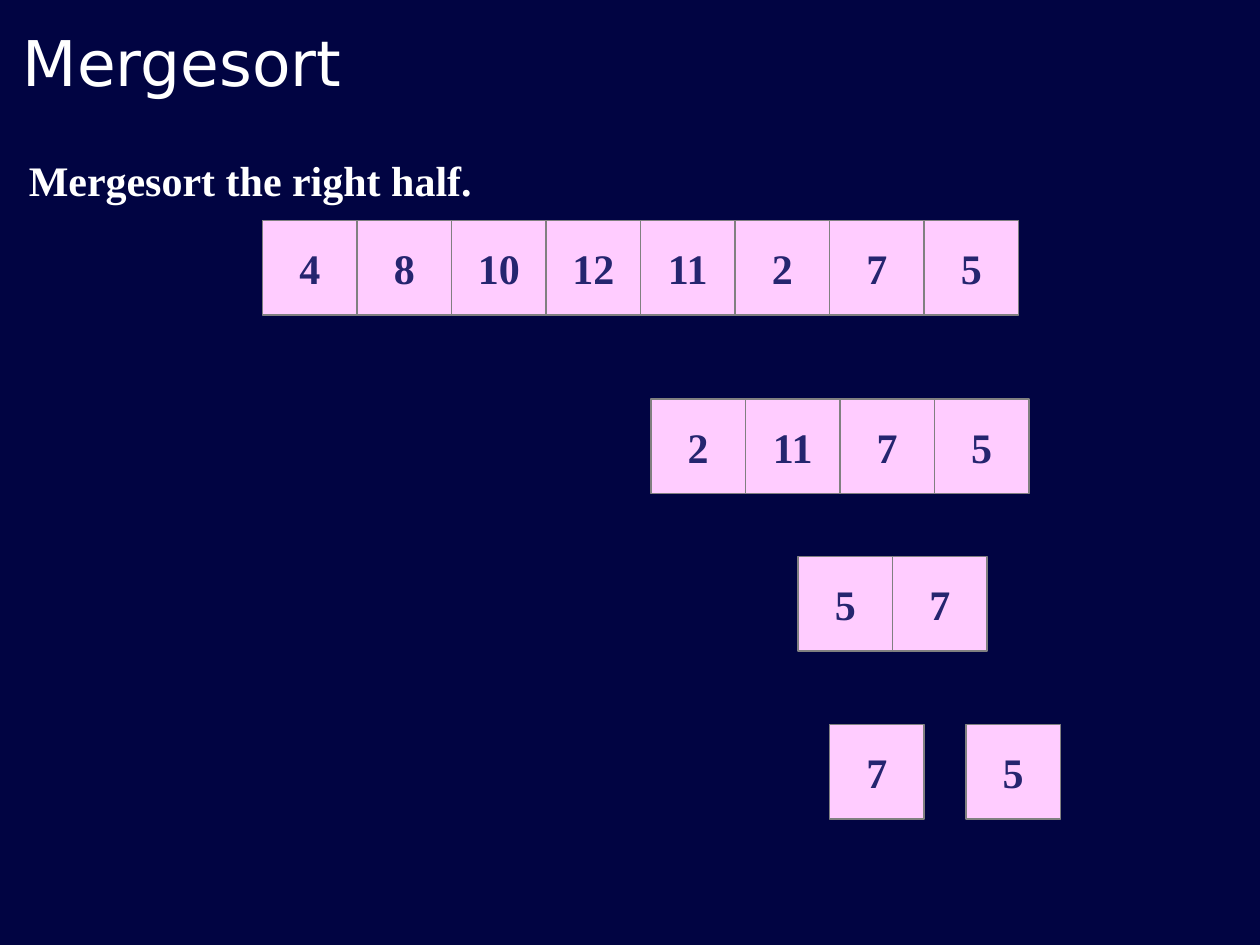
from pptx import Presentation
from pptx.dml.color import RGBColor
from pptx.enum.shapes import MSO_SHAPE as Shape
from pptx.enum.text import MSO_ANCHOR as Anchor, MSO_AUTO_SIZE as Fit
from pptx.enum.text import PP_ALIGN as Align
from pptx.util import Emu, Pt

SCALE = 7620  # EMU per px, 120 px to the inch
CELL = 90
COLORS = {"back": "010442", "cell": "FFCCFF", "edge": "808080",
          "digit": "25256F", "text": "FFFFFF"}
SANS, SERIF = "DejaVu Sans", "Times New Roman"

TITLE = "Mergesort"
CAPTION = "Mergesort the right half."
# left, top, values
ARRAYS = [
    (250, 210, [4, 8, 10, 12, 11, 2, 7, 5]),
    (620, 380, [2, 11, 7, 5]),
    (760, 530, [5, 7]),
    (790, 690, [7]),
    (920, 690, [5]),
]


def px(*sizes):
    return [Emu(size * SCALE) for size in sizes]


def color(name):
    return RGBColor.from_string(COLORS[name])


def write(shape, text, size, face, tint, bold=False, align=Align.CENTER,
          anchor=Anchor.MIDDLE, wrap=False):
    frame = shape.text_frame
    frame.word_wrap = wrap
    frame.vertical_anchor = anchor
    para = frame.paragraphs[0]
    para.text = text
    para.alignment = align
    font = para.font
    font.name, font.size, font.bold = face, Pt(size), bold
    font.color.rgb = color(tint)


def add_cell(slide, left, top, value):
    cell = slide.shapes.add_shape(Shape.RECTANGLE, *px(left, top, CELL, CELL))
    cell.shadow.inherit = False
    cell.fill.solid()
    cell.fill.fore_color.rgb = color("cell")
    cell.line.color.rgb = color("edge")
    cell.line.width = Pt(0.75)
    write(cell, str(value), 24, SERIF, "digit", bold=True)


def main():
    deck = Presentation()
    deck.slide_width, deck.slide_height = px(1200, 900)
    slide = deck.slides.add_slide(deck.slide_layouts[6])
    slide.background.fill.solid()
    slide.background.fill.fore_color.rgb = color("back")

    title = slide.shapes.add_textbox(*px(10, 28, 1010, 72))
    write(title, TITLE, 36, SANS, "text", align=Align.LEFT,
          anchor=Anchor.BOTTOM, wrap=True)
    caption = slide.shapes.add_textbox(*px(13, 141, 451, 60))
    write(caption, CAPTION, 24, SERIF, "text", bold=True)
    caption.text_frame.auto_size = Fit.SHAPE_TO_FIT_TEXT

    for left, top, values in ARRAYS:
        for i, value in enumerate(values):
            add_cell(slide, left + i * CELL, top, value)
    deck.save("out.pptx")


if __name__ == "__main__":
    main()
